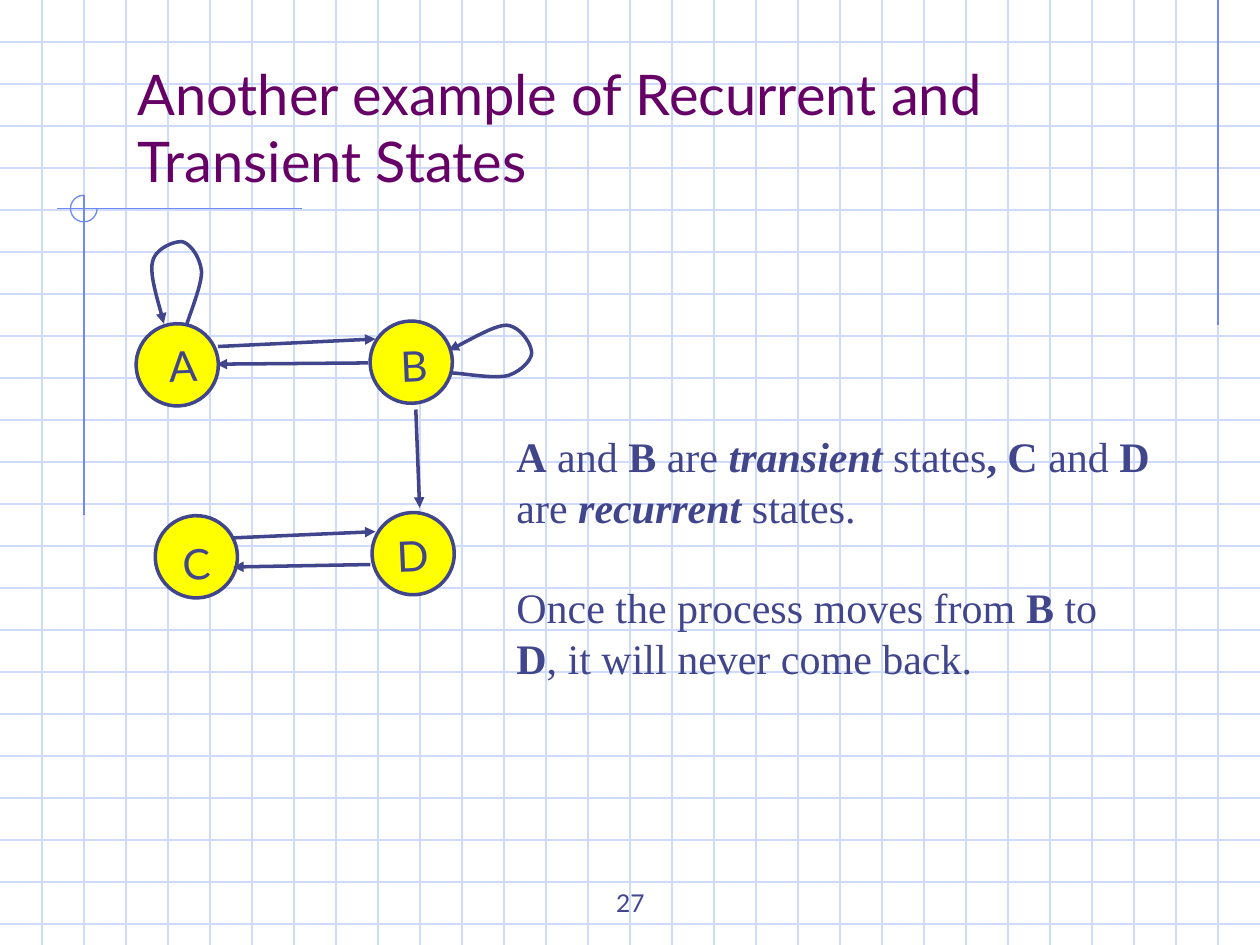
"""Build a slide on recurrent and transient states of a Markov chain."""
from lxml.etree import SubElement
from pptx import Presentation
from pptx.dml.color import RGBColor
from pptx.enum.shapes import MSO_CONNECTOR, MSO_SHAPE
from pptx.enum.text import MSO_ANCHOR, MSO_AUTO_SIZE, PP_ALIGN
from pptx.oxml.ns import qn
from pptx.util import Pt

INK = RGBColor(0x40, 0x45, 0x8C)
PLUM = RGBColor(0x66, 0x00, 0x66)
GRID = RGBColor(0xCF, 0xDB, 0xFD)
RULE = RGBColor(0x6F, 0x89, 0xF7)
GOLD = RGBColor(0xFF, 0xFF, 0x00)

WIDE, HIGH, STEP = 720, 540, 24
SANS, SERIF = "Lato", "Times New Roman"
TILT = -2.5
SIZE = 47

TITLE = "Another example of Recurrent and Transient States"
NOTES = [
    [("A", "b"), (" and ", ""), ("B", "b"), (" are ", ""),
     ("transient ", "bi"), ("states", ""), (", C ", "b"), ("and ", ""),
     ("D ", "b"), ("are ", ""), ("recurrent", "bi"), (" states.", "")],
    [("Once the process moves from ", ""), ("B ", "b"), ("to\n", ""),
     ("D", "b"), (", it will never come back.", "")],
]
STATES = [
    ("A", (77.8, 185), (89.3, 190.8)),
    ("B", (211.5, 183.5), (221.8, 190.8)),
    ("C", (88.7, 294.7), (97.2, 303.8)),
    ("D", (212.6, 292.9), (219.6, 299.5)),
]
ARROWS = [
    (211.7, 322.6, 133.2, 324),
    (132.5, 307.4, 214.6, 303.8),
    (237.6, 234, 239.8, 290.2),
    (210.2, 207.4, 123.8, 208.1),
    (124.6, 198, 214.6, 193.7),
]
LOOPS = [
    [(257.8, 213.1), (263.5, 213.1), (282.2, 216.7), (290.2, 214.6),
     (297.4, 212.4), (303.8, 205.9), (303.8, 201.6), (303.8, 196.6),
     (297.4, 186.5), (289.4, 185.8), (281.5, 185.8), (263.5, 197.3),
     (256.3, 200.2)],
    [(106.6, 185.8), (108, 180.7), (115.2, 163.4), (115.2, 155.5),
     (114.5, 147.6), (109.4, 139.7), (104.4, 138.2), (100.1, 137.5),
     (88.6, 141.8), (87.1, 149.8), (85, 157.7), (92.2, 177.8),
     (93.6, 185)],
]
RULES = [
    (696, 0, 696, 185.8),
    (172.8, 119.3, 32.4, 119.3),
    (48, 111.6, 48, 294.5),
]


def write(shape, text, font=SANS, size=24, color=INK, align=PP_ALIGN.LEFT,
          anchor=MSO_ANCHOR.TOP, wrap=True, pitch=None, gap=0):
    frame = shape.text_frame
    frame.word_wrap = wrap
    frame.auto_size = MSO_AUTO_SIZE.NONE
    frame.vertical_anchor = anchor
    paras = [[(text, "")]] if isinstance(text, str) else text
    for n, runs in enumerate(paras):
        para = frame.add_paragraph() if n else frame.paragraphs[0]
        para.alignment = align
        if pitch:
            para.line_spacing = Pt(pitch)
        if n:
            para.space_before = Pt(gap)
        for words, style in runs:
            run = para.add_run()
            run.text = words.rstrip("\n")
            run.font.name, run.font.size = font, Pt(size)
            run.font.color.rgb = color
            run.font.bold, run.font.italic = "b" in style, "i" in style
            if words.endswith("\n"):
                para.add_line_break()


def stroke(shape, color, width, arrow=False):
    shape.line.color.rgb = color
    shape.line.width = Pt(width)
    if arrow:
        SubElement(shape.line._get_or_add_ln(), qn("a:tailEnd"), type="triangle")


def join(shapes, ends, color, width, arrow=False):
    line = shapes.add_connector(MSO_CONNECTOR.STRAIGHT, *map(Pt, ends))
    stroke(line, color, width, arrow)
    SubElement(line._element.spPr, qn("a:effectLst"))


def curve(points, steps=12):
    path = [points[0]]
    for k in range(0, len(points) - 1, 3):
        knots = points[k:k + 4]
        for n in range(1, steps + 1):
            t = n / steps
            mix = ((1 - t) ** 3, 3 * t * (1 - t) ** 2, 3 * t * t * (1 - t), t ** 3)
            path.append(tuple(sum(m * p[axis] for m, p in zip(mix, knots))
                              for axis in (0, 1)))
    return path


def loop(shapes, points):
    path = [(Pt(x), Pt(y)) for x, y in curve(points)]
    pen = shapes.build_freeform(*path[0])
    pen.add_line_segments(path[1:], close=False)
    shape = pen.convert_to_shape()
    shape.shadow.inherit = False
    shape.fill.background()
    stroke(shape, INK, 2, arrow=True)


def box(shapes, left, top, width, height):
    return shapes.add_textbox(Pt(left), Pt(top), Pt(width), Pt(height))


def paper(shapes):
    for y in range(STEP, HIGH, STEP):
        join(shapes, (0, y, WIDE, y), GRID, 0.75)
    for x in range(STEP, WIDE, STEP):
        join(shapes, (x, 0, x, HIGH), GRID, 0.75)
    for ends in RULES:
        join(shapes, ends, RULE, 0.75)
    arc = shapes.add_shape(MSO_SHAPE.ARC, Pt(40.3), Pt(111.6), Pt(15.2), Pt(15.2))
    arc.adjustments[0], arc.adjustments[1] = 0, 162
    arc.shadow.inherit = False
    arc.fill.background()
    stroke(arc, RULE, 0.75)


def chain(shapes):
    for _, (left, top), _ in STATES:
        disc = shapes.add_shape(MSO_SHAPE.OVAL, Pt(left), Pt(top), Pt(SIZE), Pt(SIZE))
        disc.rotation = TILT
        disc.shadow.inherit = False
        disc.fill.solid()
        disc.fill.fore_color.rgb = GOLD
        stroke(disc, INK, 2)
    for ends in ARROWS:
        join(shapes, ends, INK, 2, arrow=True)
    for points in LOOPS:
        loop(shapes, points)
    for name, _, (left, top) in STATES:
        label = box(shapes, left, top, 30, 36)
        label.rotation = TILT
        write(label, name, wrap=False)


def main():
    deck = Presentation()
    deck.slide_width, deck.slide_height = Pt(WIDE), Pt(HIGH)
    slide = deck.slides.add_slide(deck.slide_layouts[5])
    shapes = slide.shapes
    paper(shapes)
    title = shapes.title
    shapes._spTree.append(title._element)
    title.left, title.top, title.width, title.height = map(Pt, (71.3, 30.2, 618.5, 84.2))
    write(title, TITLE, size=32, color=PLUM, anchor=MSO_ANCHOR.BOTTOM)
    write(box(shapes, 246.2, 491.8, 228.2, 36), "27", size=14,
          align=PP_ALIGN.CENTER, anchor=MSO_ANCHOR.BOTTOM)
    chain(shapes)
    write(box(shapes, 288, 242.6, 378, 151.2), NOTES, font=SERIF,
          pitch=28.8, gap=28.8)
    deck.save("out.pptx")


if __name__ == "__main__":
    main()
